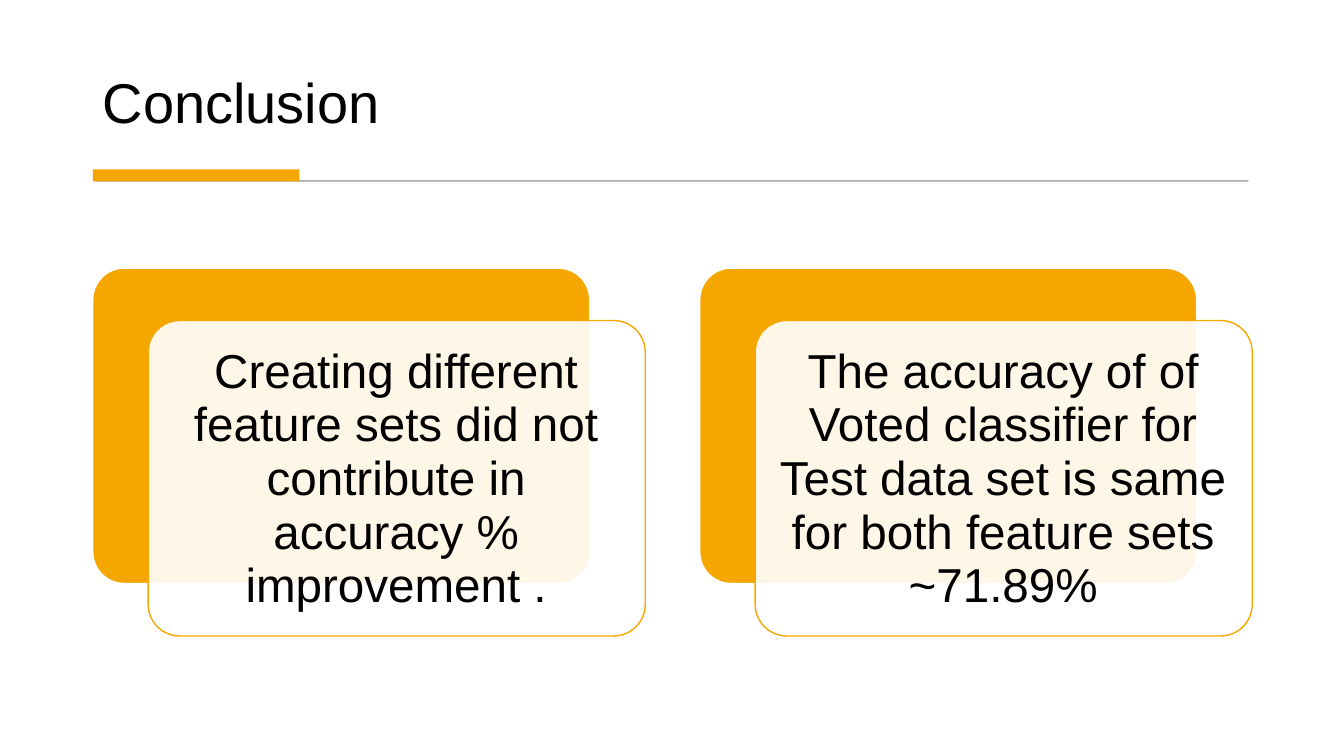
from lxml import etree
from pptx import Presentation
from pptx.dml.color import RGBColor
from pptx.enum.shapes import MSO_SHAPE
from pptx.enum.text import MSO_ANCHOR, PP_ALIGN
from pptx.oxml.ns import qn
from pptx.util import Pt

RECTANGLE = MSO_SHAPE.RECTANGLE
ROUNDED = MSO_SHAPE.ROUNDED_RECTANGLE
MIDDLE, BOTTOM = MSO_ANCHOR.MIDDLE, MSO_ANCHOR.BOTTOM
LEFT, CENTER = PP_ALIGN.LEFT, PP_ALIGN.CENTER
PX = 9144
AMBER, GRAY, WHITE, BLACK = "F5A700", "595959", "FFFFFF", "000000"

presentation = Presentation()
presentation.slide_width = 1333 * PX
presentation.slide_height = 750 * PX
slide = presentation.slides.add_slide(presentation.slide_layouts[6])


def add_box(kind, box, fill, line=None, width=1, fill_alpha=100, line_alpha=100):
    shape = slide.shapes.add_shape(kind, *[value * PX for value in box])
    shape.shadow.inherit = False
    if kind == ROUNDED:
        shape.adjustments[0] = 0.1
    paints = [(shape.fill, fill, fill_alpha)]
    if line:
        shape.line.width = Pt(width)
        paints.append((shape.line.fill, line, line_alpha))
    else:
        shape.line.fill.background()
    for paint, color, alpha in paints:
        paint.solid()
        paint.fore_color.rgb = RGBColor.from_string(color)
    colors = shape._element.spPr.findall(".//" + qn("a:srgbClr"))
    for color_element, (paint, color, alpha) in zip(colors, paints):
        if alpha < 100:
            etree.SubElement(color_element, qn("a:alpha")).set("val", str(alpha * 1000))


def add_text(box, text, size, spacing, anchor, alignment, insets):
    frame = slide.shapes.add_textbox(*[value * PX for value in box]).text_frame
    frame.word_wrap = True
    frame.vertical_anchor = anchor
    frame.margin_left = frame.margin_right = insets[0] * PX
    frame.margin_top = frame.margin_bottom = insets[1] * PX
    paragraph = frame.paragraphs[0]
    paragraph.alignment = alignment
    paragraph.line_spacing = spacing
    run = paragraph.add_run()
    run.text = text
    run.font.name = "Arial"
    run.font.size = Pt(size)
    run.font.color.rgb = RGBColor.from_string(BLACK)


add_text((92, 28, 1149, 111), "Conclusion", 40, 0.9, BOTTOM, LEFT, (10, 5))
add_box(RECTANGLE, (95, 179, 1143, 1), GRAY, GRAY, 0.75, 30, 30)
add_box(RECTANGLE, (92, 168, 205, 12), AMBER)

conclusions = [
    "Creating different feature sets did not contribute in accuracy % improvement .",
    "The accuracy of of Voted classifier for Test data set is same for both feature sets ~71.89%",
]
for index, conclusion in enumerate(conclusions):
    left = 92 + index * 602
    add_box(ROUNDED, (left, 266, 493, 313), AMBER, WHITE)
    add_box(ROUNDED, (left + 55, 318, 493, 313), WHITE, AMBER, fill_alpha=90)
    add_text((left + 64, 328, 474, 295), conclusion, 34, 0.94, MIDDLE, CENTER, (14, 14))

presentation.save("out.pptx")
